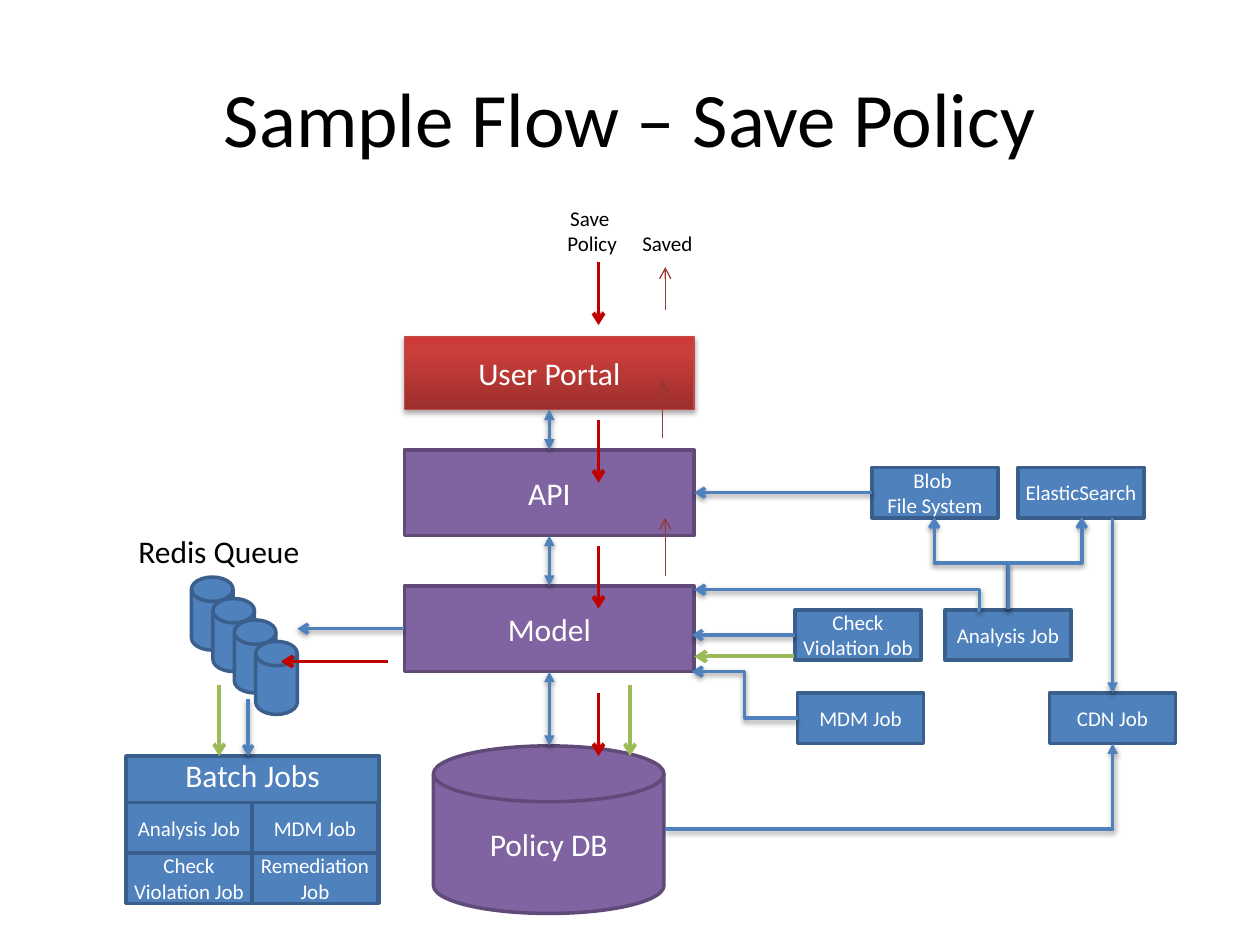
from lxml import etree
from pptx import Presentation
from pptx.dml.color import RGBColor
from pptx.enum.shapes import MSO_CONNECTOR, MSO_SHAPE
from pptx.enum.text import MSO_ANCHOR, MSO_AUTO_SIZE, PP_ALIGN
from pptx.oxml import parse_xml
from pptx.oxml.ns import nsdecls, qn
from pptx.util import Inches, Pt

BLUE, PURPLE, RED, GREEN, MAROON = "4F81BD", "8064A2", "C00000", "9BBB59", "953735"
EDGE = {BLUE: "3A5F8C", PURPLE: "5F4A78"}
RECT, DISK = MSO_SHAPE.RECTANGLE, MSO_SHAPE.FLOWCHART_MAGNETIC_DISK

# Content: name, lines, left, top, width, height
LAYERS = [
    ("portal", ["User Portal"], 3.21, 2.67, 2.3, 0.58),
    ("api", ["API"], 3.21, 3.57, 2.3, 0.68),
    ("model", ["Model"], 3.21, 4.65, 2.3, 0.68),
]
BATCH_JOBS = ["Analysis Job", "MDM Job", "Check Violation Job", "Remediation Job"]
# Small boxes: name, lines, left, top
SERVICES = [
    ("files", ["Blob ", "File System"], 6.92, 3.71),
    ("search", ["ElasticSearch"], 8.08, 3.71),
    ("check", ["Check Violation Job"], 6.31, 4.84),
    ("mdm", ["MDM Job"], 6.33, 5.5),
    ("analysis", ["Analysis Job"], 7.5, 4.84),
    ("cdn", ["CDN Job"], 8.33, 5.5),
]
# Labels: lines, size, alignment, left, top, width, height
LABELS = [
    (["Redis Queue"], 18, PP_ALIGN.LEFT, 1, 4.17, 1.5, 0.4),
    (["Save ", "Policy"], 12, PP_ALIGN.CENTER, 4.4, 1.58, 0.6, 0.5),
    (["Saved"], 12, PP_ALIGN.LEFT, 5, 1.78, 0.64, 0.3),
]
# Component links: from, to, head, tail; an end is a point or (box name, side)
LINKS = [
    (("check", 1), (5.49, 5.04), None, "arrow"),
    ((4.36, 5.92), ("model", 2), "triangle", "triangle"),
    (("model", 0), ("api", 2), "triangle", "triangle"),
    (("api", 0), ("portal", 2), "triangle", "triangle"),
    (("model", 1), (2.36, 4.99), None, "arrow"),
    ((8.83, 4.11), ("cdn", 0), None, "triangle"),
    (("files", 1), ("api", 3), None, "arrow"),
    ((1.97, 5.55), (1.97, 6), None, "arrow"),
]
# Elbow links: left, top, width, height, rotation, flips, preset, bend, tail
ELBOWS = [
    (5.49, 5.33, 0.84, 0.37, 180, "", "bentConnector3", 0.5, "arrow"),
    (5.51, 4.68, 2.24, 0.16, 180, "", "bentConnector3", -0.01, "arrow"),
    (7.34, 4.18, 0.73, 0.58, 270, "V", "bentConnector3", 0.5, "arrow"),
    (7.93, 4.18, 0.73, 0.58, 90, "HV", "bentConnector3", 0.5, "arrow"),
    (5.28, 5.9, 3.55, 0.68, 0, "V", "bentConnector2", None, "triangle"),
]
# Flow arrows: colour, width, from, to
FLOWS = [(RED, 2.25, (4.75, y), (4.75, y + 0.5)) for y in (2.08, 3.33, 4.33, 5.5)] + [
    (RED, 2.25, (3.08, 5.25), (2.23, 5.25)),
    (MAROON, 0.75, (5.28, 4.57), (5.28, 4.11)),
    (MAROON, 0.75, (5.26, 3.48), (5.26, 3.02)),
    (MAROON, 0.75, (5.28, 2.46), (5.28, 2.12)),
    (GREEN, 2.25, (6.3, 5.21), (5.51, 5.21)),
    (GREEN, 2.25, (5, 5.44), (5, 6)),
    (GREEN, 2.25, (1.74, 5.44), (1.74, 6)),
]


def rgb(value):
    return RGBColor.from_string(value)


def write(tf, lines, size, color, align=PP_ALIGN.CENTER):
    for i, line in enumerate(lines):
        p = tf.paragraphs[0] if i == 0 else tf.add_paragraph()
        p.alignment = align
        r = p.add_run()
        r.text = line
        r.font.name, r.font.size = "Calibri", Pt(size)
        r.font.color.rgb = rgb(color)


def box(kind, lines, at, fill=BLUE, size=18, side_inset=0.1):
    sp = s.shapes.add_shape(kind, *map(Inches, at))
    sp.shadow.inherit = False
    sp.fill.solid()
    sp.fill.fore_color.rgb = rgb(fill)
    sp.line.color.rgb = rgb(EDGE[fill])
    sp.line.width = Pt(2)
    tf = sp.text_frame
    tf.word_wrap = True
    tf.vertical_anchor = MSO_ANCHOR.MIDDLE
    tf.margin_left = tf.margin_right = Inches(side_inset)
    write(tf, lines, size, "FFFFFF")
    return sp


def set_shadow(sp, alpha, distance):
    spPr = sp._element.spPr
    for old in spPr.findall(qn("a:effectLst")):
        spPr.remove(old)
    spPr.append(parse_xml(
        f'<a:effectLst {nsdecls("a")}><a:outerShdw blurRad="{Pt(3.1)}" dist="{Pt(distance)}" '
        f'dir="5400000" rotWithShape="0"><a:srgbClr val="000000"><a:alpha val="{alpha}000"/>'
        '</a:srgbClr></a:outerShdw></a:effectLst>'))


def connector(kind, start, end, color, width, head, tail, shadow):
    c = s.shapes.add_connector(kind, *map(Inches, (*start, *end)))
    c.line.color.rgb = rgb(color)
    c.line.width = Pt(width)
    ln = c.line._get_or_add_ln()
    for tag, arrow in (("a:headEnd", head), ("a:tailEnd", tail)):
        if arrow:
            etree.SubElement(ln, qn(tag), type=arrow)
    if shadow:
        set_shadow(c, 38, 1.6)
    else:
        etree.SubElement(c._element.spPr, qn("a:effectLst"))
    return c


prs = Presentation()
prs.slide_width, prs.slide_height = Inches(10), Inches(7.5)
s = prs.slides.add_slide(prs.slide_layouts[5])

# Title
title = s.shapes.title
title.left, title.top, title.width, title.height = map(Inches, (0.5, 0.3, 9, 1.25))
write(title.text_frame, ["Sample Flow – Save Policy"], 44, "000000")

# Application layers and database
boxes = {name: box(RECT, lines, at, PURPLE) for name, lines, *at in LAYERS}
box(DISK, ["Policy DB"], (3.44, 5.92, 1.83, 1.33), PURPLE)

# Portal: graded red with a soft shadow
portal = boxes["portal"]
portal.fill.gradient()
grad = portal._element.spPr.find(qn("a:gradFill"))
stops = "".join(f'<a:gs pos="{pos}000"><a:srgbClr val="{color}"/></a:gs>'
                for pos, color in ((0, "9C2F2D"), (80, "CB3E3A"), (100, "CE3B37")))
grad.getparent().replace(grad, parse_xml(
    f'<a:gradFill {nsdecls("a")} rotWithShape="1"><a:gsLst>{stops}</a:gsLst>'
    '<a:lin ang="16200000" scaled="0"/></a:gradFill>'))
portal.line.color.rgb = rgb("BF4C48")
portal.line.width = Pt(0.75)
set_shadow(portal, 35, 1.8)

# Queue
for i in range(4):
    box(DISK, [], (1.52 + i * 0.17, 4.58 + i * 0.17, 0.33, 0.58))

# Batch jobs panel with a two by two grid
panel = box(RECT, ["Batch Jobs"], (1, 6, 2.01, 1.17))
panel.text_frame.vertical_anchor = MSO_ANCHOR.TOP
panel.text_frame.margin_top = 0
for i, job in enumerate(BATCH_JOBS):
    row, col = divmod(i, 2)
    box(RECT, [job], (1 + col, 6.37 + row * 0.4, 1, 0.4), size=12, side_inset=0)

# Services and jobs
for name, lines, x, y in SERVICES:
    boxes[name] = box(RECT, lines, (x, y, 1, 0.4), size=12, side_inset=0)

# Labels
for lines, size, align, *at in LABELS:
    tf = s.shapes.add_textbox(*map(Inches, at)).text_frame
    tf.word_wrap = False
    tf.auto_size = MSO_AUTO_SIZE.SHAPE_TO_FIT_TEXT
    write(tf, lines, size, "000000", align)

# Links between components
for start, end, head, tail in LINKS:
    joined = [isinstance(e[0], str) for e in (start, end)]
    points = [(0, 0) if j else e for j, e in zip(joined, (start, end))]
    c = connector(MSO_CONNECTOR.STRAIGHT, *points, BLUE, 2, head, tail, True)
    if joined[0]:
        c.begin_connect(boxes[start[0]], start[1])
    if joined[1]:
        c.end_connect(boxes[end[0]], end[1])

for x, y, w, h, turn, flips, preset, bend, tail in ELBOWS:
    c = connector(MSO_CONNECTOR.ELBOW, (x, y), (x + w, y + h), BLUE, 2, None, tail, True)
    xfrm = c._element.spPr.find(qn("a:xfrm"))
    xfrm.set("rot", str(turn * 60000))
    for axis in flips:
        xfrm.set("flip" + axis, "1")
    geom = c._element.spPr.find(qn("a:prstGeom"))
    geom.set("prst", preset)
    if bend is not None:
        etree.SubElement(geom.find(qn("a:avLst")), qn("a:gd"), name="adj1",
                         fmla=f"val {round(bend * 100000)}")

# Save flow arrows
for color, width, start, end in FLOWS:
    connector(MSO_CONNECTOR.STRAIGHT, start, end, color, width, None, "arrow", False)

prs.save("out.pptx")
